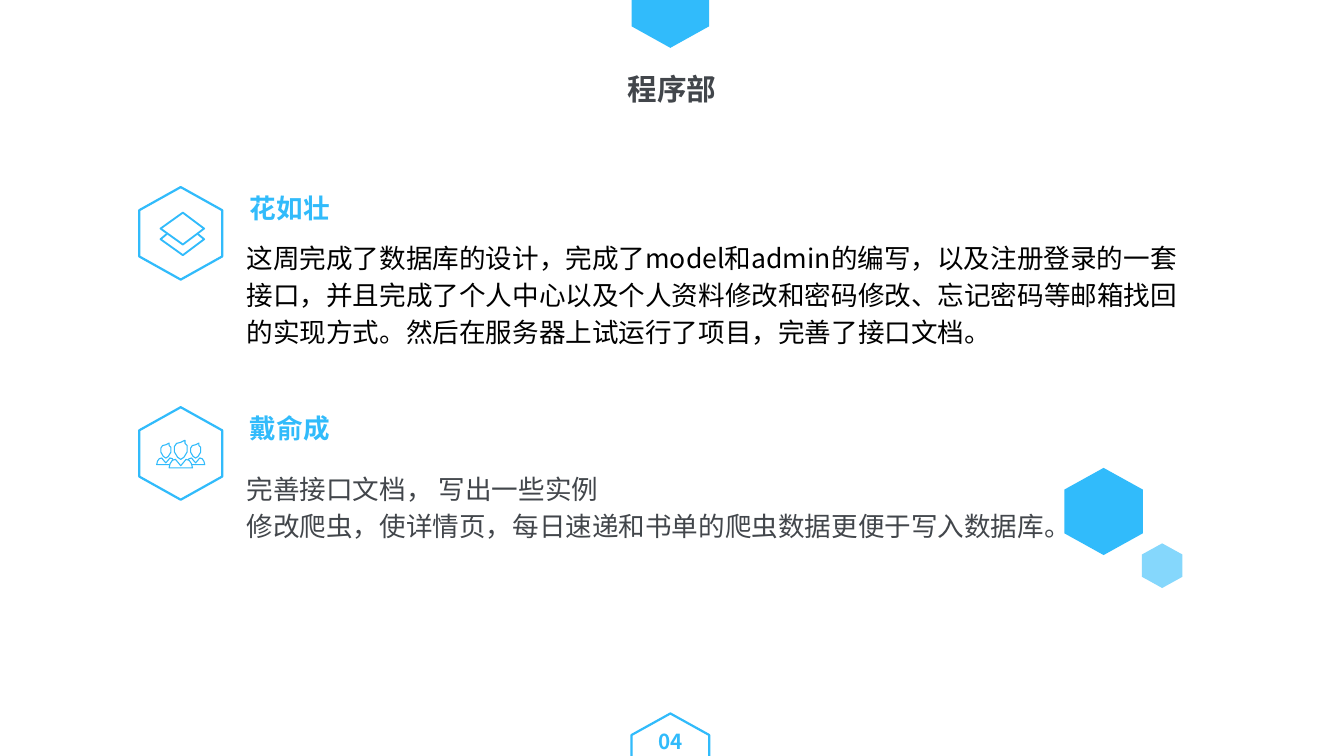
"""Build the weekly report slide of the programming department."""
from lxml.etree import SubElement
from pptx import Presentation
from pptx.dml.color import RGBColor
from pptx.enum.text import MSO_AUTO_SIZE, PP_ALIGN
from pptx.oxml.ns import qn
from pptx.util import Inches, Pt

FONT = "Noto Sans CJK SC"
BLUE, GRAY, BLACK, WHITE = "31BBFB", "42464B", "000000", "FFFFFF"

TITLE, PAGE_NUMBER = "程序部", "04"
MEMBERS = [
    dict(name="花如壮", top=1.76, text_top=2.23, color=BLACK, report=[
        "这周完成了数据库的设计，完成了model和admin的编写，以及注册登录的一套接口，"
        "并且完成了个人中心以及个人资料修改和密码修改、忘记密码等邮箱找回的实现方式。"
        "然后在服务器上试运行了项目，完善了接口文档。"]),
    dict(name="戴俞成", top=3.83, text_top=4.4, color=GRAY, report=[
        "完善接口文档， 写出一些实例",
        "修改爬虫，使详情页，每日速递和书单的爬虫数据更便于写入数据库。"]),
]
SOLID_HEXAGONS = [(5.94, -0.36, 0.73, 0.81, 100), (10.01, 4.4, 0.74, 0.82, 100),
                  (10.74, 5.11, 0.38, 0.42, 59)]
PAGE_HEXAGON = (5.94, 6.71, 0.73, 0.81)

UPPER_LAYER = [(1.51, 2.15), (1.72, 2), (1.92, 2.15), (1.72, 2.3)]
LOWER_LAYER = [(1.57, 2.2), (1.51, 2.25), (1.72, 2.4), (1.92, 2.25), (1.86, 2.2)]

PEOPLE = [(1.56, 4.37, 0.78), (1.84, 4.37, 0.78), (1.7, 4.4, 1)]
BODY = [(-0.11, 0), (-0.1, 0.04), (-0.08, 0.07), (-0.05, 0.08), (0, 0.02),
        (0.05, 0.08), (0.08, 0.07), (0.1, 0.04), (0.11, 0)]
HEAD = [(0.04, 0.26), (0.04, 0.23), (0.06, 0.21), (0.06, 0.15), (0.03, 0.1), (0, 0.08),
        (-0.03, 0.1), (-0.06, 0.15), (-0.06, 0.2), (-0.04, 0.23), (0, 0.24)]

deck = Presentation()
deck.slide_width, deck.slide_height = Inches(12.64), Inches(7.11)
page = deck.slides.add_slide(deck.slide_layouts[6])


def rgb(color):
    return RGBColor.from_string(color)


def add_outline(points, fill=None, line=None, width=1.5, alpha=100, close=True):
    corners = [(Inches(x), Inches(y)) for x, y in points]
    builder = page.shapes.build_freeform(*corners[0])
    builder.add_line_segments(corners[1:], close=close)
    shape = builder.convert_to_shape()
    shape.shadow.inherit = False
    if fill:
        shape.fill.solid()
        shape.fill.fore_color.rgb = rgb(fill)
        if alpha < 100:
            color = shape.fill._xPr.find(".//" + qn("a:srgbClr"))
            SubElement(color, qn("a:alpha")).set("val", str(alpha * 1000))
    else:
        shape.fill.background()
    if line:
        shape.line.color.rgb = rgb(line)
        shape.line.width = Pt(width)
    else:
        shape.line.fill.background()


def add_hexagon(left, top, width, height, **style):
    middle, right, bottom = left + width / 2, left + width, top + height
    upper, lower = top + height / 4, bottom - height / 4
    add_outline([(middle, top), (right, upper), (right, lower), (middle, bottom),
                 (left, lower), (left, upper)], **style)


def add_text(lines, left, top, width, height, size=18, color=BLUE, bold=False,
             align=PP_ALIGN.LEFT):
    box = page.shapes.add_textbox(Inches(left), Inches(top), Inches(width), Inches(height))
    frame = box.text_frame
    frame.word_wrap = True
    frame.auto_size = MSO_AUTO_SIZE.SHAPE_TO_FIT_TEXT
    frame.margin_left = frame.margin_top = frame.margin_right = 0
    frame.margin_bottom = Inches(0.05)
    for index, line in enumerate(lines):
        para = frame.add_paragraph() if index else frame.paragraphs[0]
        para.alignment, para.line_spacing = align, 1.16
        span = para.add_run()
        span.text = line
        span.font.size, span.font.bold = Pt(size), bold
        span.font.color.rgb = rgb(color)
        span.font.name = FONT
        SubElement(span.font._element, qn("a:ea")).set("typeface", FONT)


for *place, alpha in SOLID_HEXAGONS:
    add_hexagon(*place, fill=BLUE, alpha=alpha)
add_hexagon(*PAGE_HEXAGON, line=BLUE)
add_text([TITLE], 3.56, 0.61, 5.52, 0.44, size=20, color=GRAY, bold=True,
         align=PP_ALIGN.CENTER)
add_text([PAGE_NUMBER], 6, 6.82, 0.61, 0.32, size=14, bold=True, align=PP_ALIGN.CENTER)

for member in MEMBERS:
    add_hexagon(1.31, member["top"], 0.78, 0.87, line=BLUE)
    add_text([member["name"]], 2.35, member["top"], 2.78, 0.4, bold=True)
    add_text(member["report"], 2.32, member["text_top"], 8.8, 1.1, color=member["color"])

add_outline(UPPER_LAYER, line=BLUE, width=1.25)
add_outline(LOWER_LAYER, line=BLUE, width=1.25, close=False)
for center, base, scale in PEOPLE:
    for part in (BODY, HEAD):
        add_outline([(center + x * scale, base - y * scale) for x, y in part],
                    fill=WHITE, line=BLUE, width=0.75)

deck.save("out.pptx")
